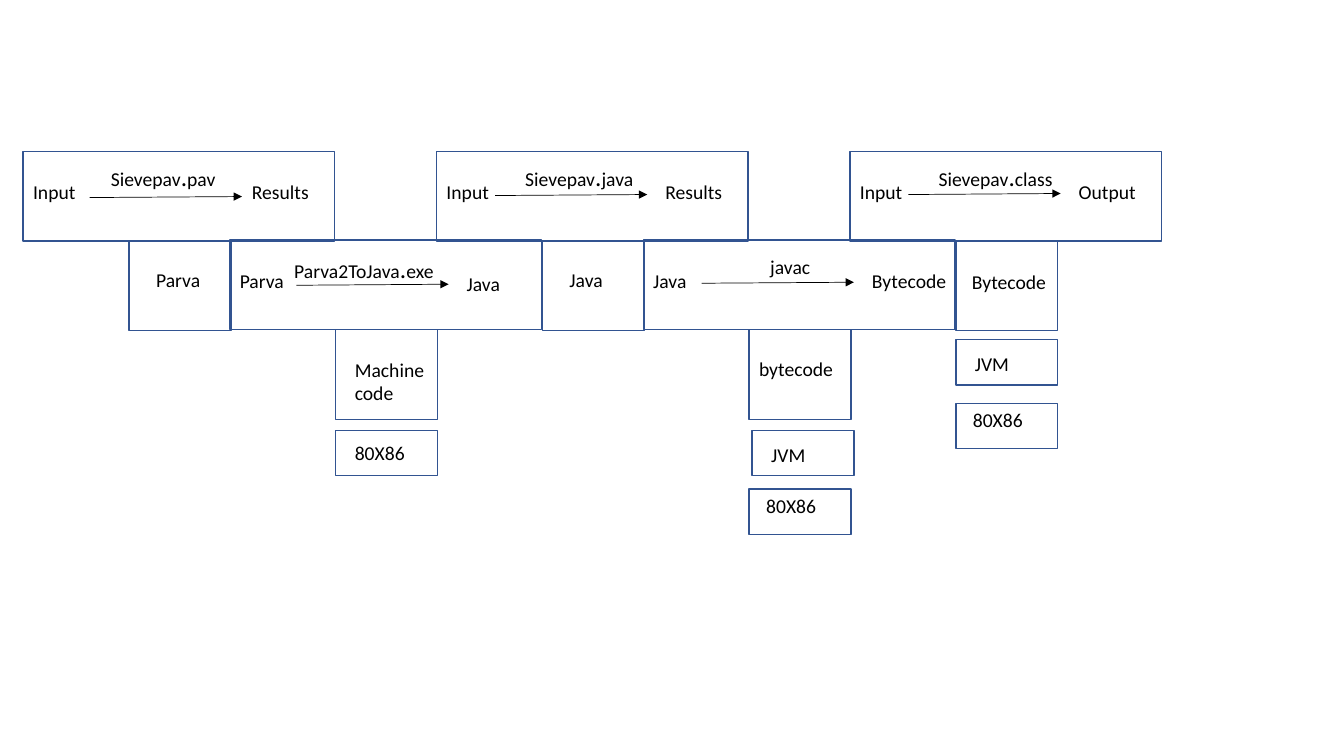
from lxml.etree import SubElement
from pptx import Presentation
from pptx.dml.color import RGBColor
from pptx.enum.shapes import MSO_CONNECTOR, MSO_SHAPE
from pptx.enum.text import MSO_AUTO_SIZE
from pptx.oxml.ns import qn
from pptx.util import Inches, Pt

# Grid of interlocking T-diagrams, in inches
LEFT, TOP = 0.23, 1.5
COLUMN, ROW = 2.05, 0.88
BAR_W, BAR_H = 3.09, 0.89
STEM_DX, STEM_W = 1.05, 1.01
MACHINE_H = 0.45
ARROW_W, ARROW_RISE = 1.51, 0.01
LINE_H = 0.34
BORDER, INK = "325491", "000000"


def color(hex_text):
    return RGBColor.from_string(hex_text)


def corner(column, row):
    return LEFT + column * COLUMN, TOP + row * ROW


def add_text(slide, text, x, y, width=STEM_W, height=LINE_H, size=14,
             dot_size=18, font="Calibri", ink=INK):
    """Text label; the dot of a file name is set larger."""
    frame = slide.shapes.add_textbox(
        Inches(x), Inches(y), Inches(width), Inches(height)).text_frame
    frame.word_wrap = True
    frame.auto_size = MSO_AUTO_SIZE.SHAPE_TO_FIT_TEXT
    for part in filter(None, text.partition(".")):
        run = frame.paragraphs[0].add_run()
        run.text = part
        run.font.name = font
        run.font.size = Pt(dot_size if part == "." else size)
        run.font.color.rgb = color(ink)


def add_box(slide, x, y, width, height):
    box = slide.shapes.add_shape(MSO_SHAPE.FLOWCHART_PROCESS, Inches(x),
                                 Inches(y), Inches(width), Inches(height))
    box.shadow.inherit = False
    box.fill.background()
    box.line.color.rgb = color(BORDER)
    box.line.width = Pt(1)


def add_arrow(slide, x, y):
    arrow = slide.shapes.add_connector(
        MSO_CONNECTOR.STRAIGHT, Inches(x), Inches(y),
        Inches(x + ARROW_W), Inches(y - ARROW_RISE))
    arrow.line.color.rgb = color(INK)
    arrow.line.width = Pt(0.5)
    SubElement(arrow.line._get_or_add_ln(), qn("a:tailEnd"), type="triangle")
    SubElement(arrow._element.spPr, qn("a:effectLst"))


def add_t_diagram(slide, column, row, source, program, target, language,
                  program_at, target_at, arrow_at, language_at,
                  program_w=1.55, language_w=0.83):
    """Bar with source, arrow and target, on a stem with its language.

    Places are offsets from the bar's corner, or the stem's for language.
    """
    x, y = corner(column, row)
    stem_x, stem_y = x + STEM_DX, y + BAR_H
    add_box(slide, x, y, BAR_W, BAR_H)
    add_box(slide, stem_x, stem_y, STEM_W, BAR_H)
    add_text(slide, source, x, y + 0.24, width=0.83)
    add_text(slide, target, x + target_at[0], y + target_at[1])
    add_text(slide, program, x + program_at[0], y + program_at[1],
             width=program_w, height=0.4 if "." in program else LINE_H)
    add_text(slide, language, stem_x + language_at[0],
             stem_y + language_at[1], width=language_w)
    add_arrow(slide, x + arrow_at[0], y + arrow_at[1])


def add_machine(slide, column, y, label, label_at, shift=0):
    """Machine box below the stem of the diagram in this column."""
    x = corner(column, 0)[0] + STEM_DX + shift
    add_box(slide, x, y, STEM_W, MACHINE_H)
    add_text(slide, label, x + label_at[0], y + label_at[1], width=0.92)


def main():
    deck = Presentation()
    deck.slide_width, deck.slide_height = Inches(13.33), Inches(7.5)
    slide = deck.slides.add_slide(deck.slide_layouts[6])

    # Parva program and its translator to Java
    add_t_diagram(slide, 0, 0, "Input", "Sievepav.pav", "Results", "Parva",
                  (0.77, 0.05), (2.17, 0.24), (0.66, 0.46), (0.17, 0.22))
    add_t_diagram(slide, 1, 1, "Parva", "Parva2ToJava.exe", "Java",
                  "Machine code", (0.54, 0.08), (2.25, 0.27), (0.66, 0.45),
                  (0.09, 0.23), program_w=1.63, language_w=0.92)

    # Java program and its compiler to bytecode
    add_t_diagram(slide, 2, 0, "Input", "Sievepav.java", "Results", "Java",
                  (0.78, 0.05), (2.17, 0.24), (0.58, 0.44), (0.17, 0.22))
    add_t_diagram(slide, 3, 1, "Java", "javac", "Bytecode", "bytecode",
                  (1.16, 0.1), (2.17, 0.24), (0.58, 0.43), (0, 0.22),
                  language_w=STEM_W)

    # Bytecode program
    add_t_diagram(slide, 4, 0, "Input", "Sievepav.class", "Output",
                  "Bytecode", (0.78, 0.05), (2.17, 0.24), (0.58, 0.43),
                  (0.06, 0.24), language_w=STEM_W)

    # Machines that run the programs
    add_machine(slide, 1, 4.27, "80X86", (0.09, 0.06))
    add_machine(slide, 3, 4.27, "JVM", (0.09, 0.07), shift=0.03)
    add_machine(slide, 3, 4.85, "80X86", (0.07, 0))
    add_machine(slide, 4, 3.37, "JVM", (0.09, 0.07))
    add_machine(slide, 4, 4, "80X86", (0.07, 0))

    deck.save("out.pptx")


if __name__ == "__main__":
    main()
